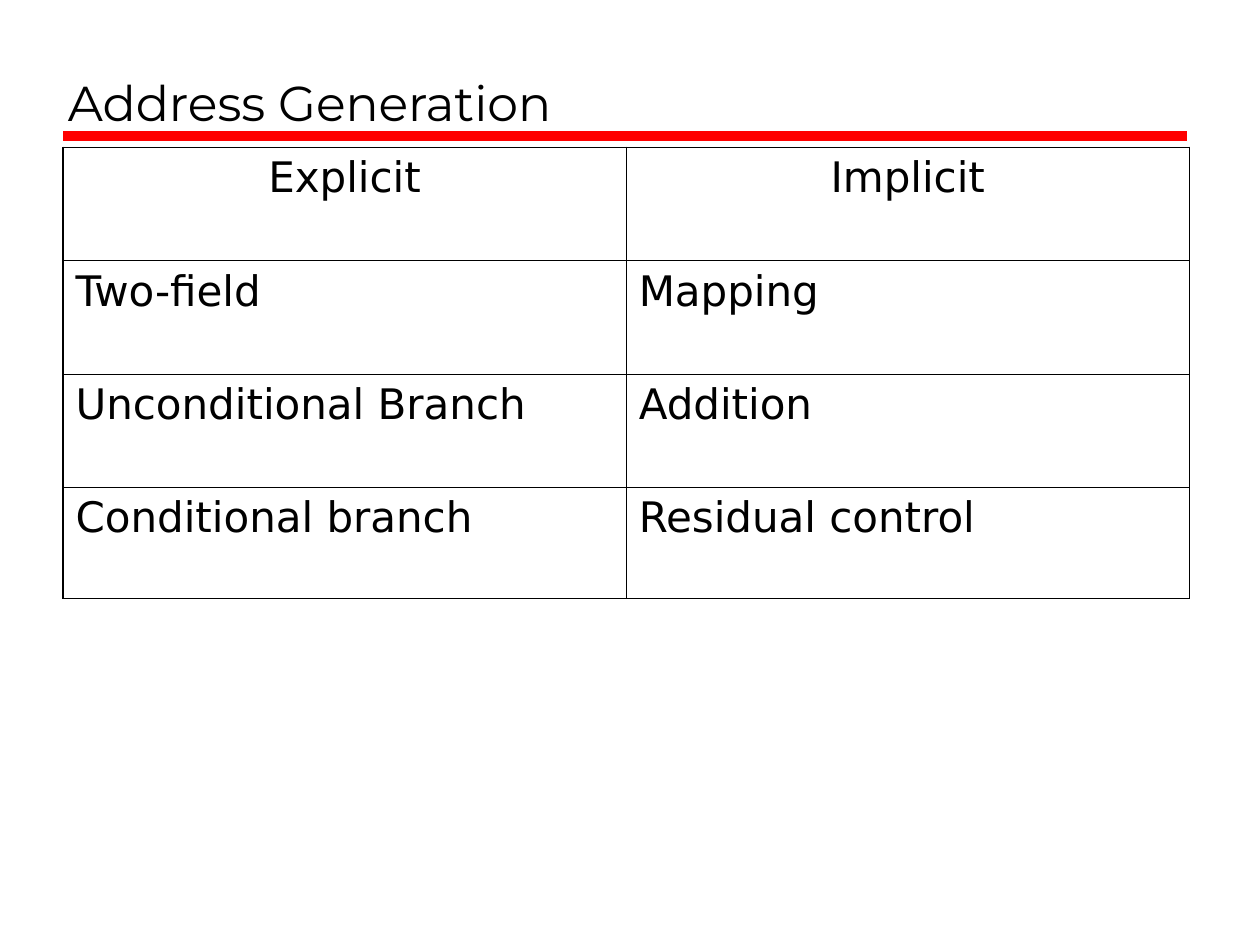
"""Build the Address Generation slide: a ruled title above a two-column table."""
from dataclasses import dataclass

from lxml.etree import SubElement
from pptx import Presentation
from pptx.dml.color import RGBColor
from pptx.enum.shapes import MSO_CONNECTOR
from pptx.enum.text import MSO_ANCHOR, PP_ALIGN
from pptx.oxml import parse_xml
from pptx.oxml.ns import nsdecls, qn
from pptx.slide import Slide
from pptx.table import _Cell
from pptx.text.text import TextFrame
from pptx.util import Inches, Pt


@dataclass(frozen=True)
class Theme:
    ink: str = "000000"
    paper: str = "FFFFFF"
    rule: str = "FF0000"
    title_font: str = "Montserrat"
    body_font: str = "DejaVu Sans"
    title_size: float = 28
    body_size: float = 24
    rule_width: float = 6
    outer_border: float = 1.08
    inner_border: float = 0.45


@dataclass(frozen=True)
class Row:
    explicit: str
    implicit: str
    height: float = 0.9
    align: PP_ALIGN = PP_ALIGN.LEFT


THEME = Theme()
LEFT = 0.5
COL_WIDTH = 4.47
ROWS = [
    Row("Explicit", "Implicit", align=PP_ALIGN.CENTER),
    Row("Two-field", "Mapping"),
    Row("Unconditional Branch", "Addition"),
    Row("Conditional branch", "Residual control", height=0.88),
]


def write(tf: TextFrame, text: str, font: str, size: float, align: PP_ALIGN) -> None:
    tf.text = text
    p = tf.paragraphs[0]
    p.alignment = align
    r = p.runs[0]
    r.font.name = font
    r.font.size = Pt(size)
    r.font.color.rgb = RGBColor.from_string(THEME.ink)


def add_title(s: Slide, text: str) -> None:
    sp = s.shapes.add_textbox(Inches(0.44), Inches(0.17), Inches(8.97), Inches(0.92))
    tf = sp.text_frame
    tf.word_wrap = True
    tf.vertical_anchor = MSO_ANCHOR.BOTTOM
    write(tf, text, THEME.title_font, THEME.title_size, PP_ALIGN.LEFT)


def add_rule(s: Slide) -> None:
    y = Inches(1.08)
    line = s.shapes.add_connector(MSO_CONNECTOR.STRAIGHT, Inches(LEFT), y, Inches(9.42), y)
    line.line.color.rgb = RGBColor.from_string(THEME.rule)
    line.line.width = Pt(THEME.rule_width)
    SubElement(line._element.spPr, qn("a:effectLst"))


def set_borders(cell: _Cell, outer: dict[str, bool]) -> None:
    tcPr = cell._tc.get_or_add_tcPr()
    for i, (side, is_outer) in enumerate(outer.items()):
        width = Pt(THEME.outer_border if is_outer else THEME.inner_border)
        tcPr.insert(i, parse_xml(
            f'<a:{side} {nsdecls("a")} w="{width}"><a:solidFill>'
            f'<a:srgbClr val="{THEME.ink}"/></a:solidFill></a:{side}>'))


def add_table(s: Slide, rows: list[Row]) -> None:
    height = sum(row.height for row in rows)
    table = s.shapes.add_table(len(rows), 2, Inches(LEFT), Inches(1.17),
                               Inches(2 * COL_WIDTH), Inches(height)).table
    table.first_row = table.horz_banding = False
    for col in table.columns:
        col.width = Inches(COL_WIDTH)
    for i, row in enumerate(rows):
        table.rows[i].height = Inches(row.height)
        for j, text in enumerate((row.explicit, row.implicit)):
            cell = table.cell(i, j)
            cell.fill.solid()
            cell.fill.fore_color.rgb = RGBColor.from_string(THEME.paper)
            write(cell.text_frame, text, THEME.body_font, THEME.body_size, row.align)
            set_borders(cell, {"lnL": j == 0, "lnR": j == 1,
                               "lnT": i == 0, "lnB": i == len(rows) - 1})


def main() -> None:
    prs = Presentation()
    prs.slide_width, prs.slide_height = Inches(10), Inches(7.5)
    s = prs.slides.add_slide(prs.slide_layouts[6])
    add_rule(s)
    add_title(s, "Address Generation")
    add_table(s, ROWS)
    prs.save("out.pptx")


if __name__ == "__main__":
    main()
